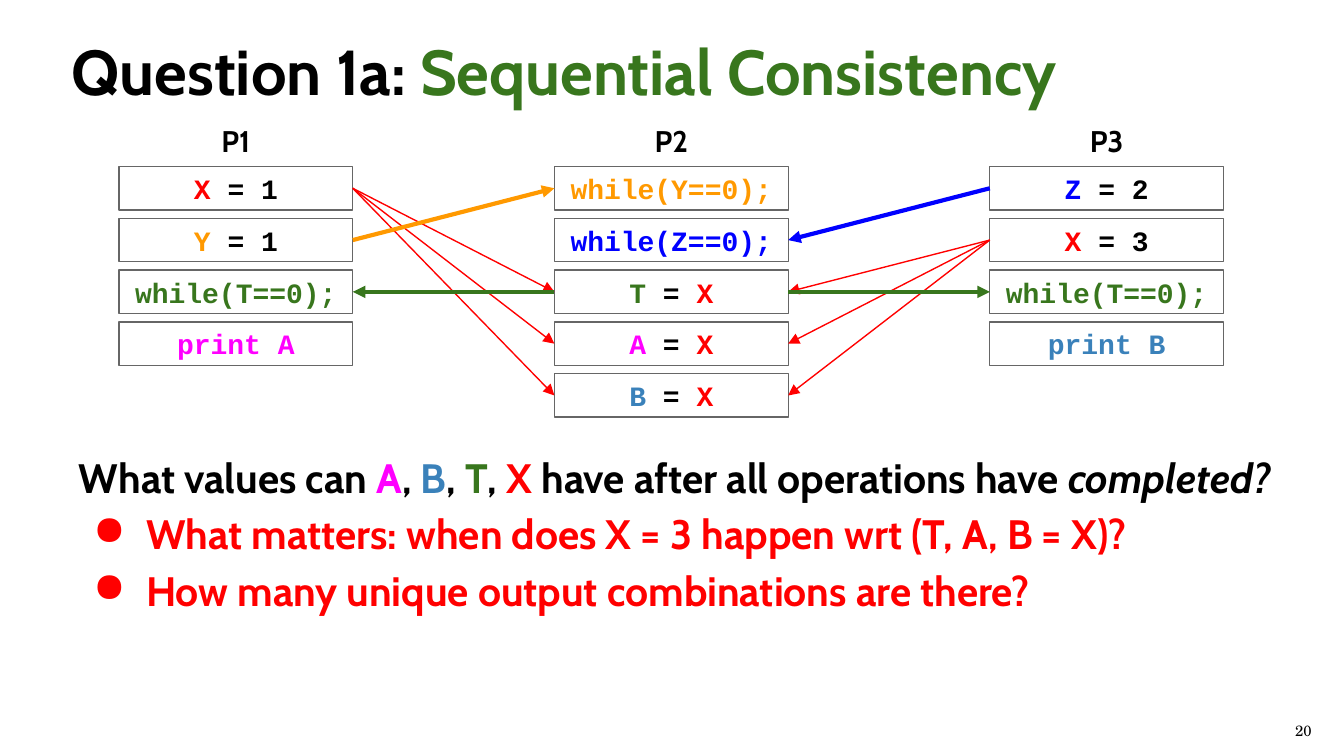
"""Build the sequential consistency question slide with its three-process diagram."""
from dataclasses import dataclass

import lxml.etree
import pptx
import pptx.dml.color
import pptx.enum.shapes
import pptx.enum.text
import pptx.oxml.ns
import pptx.shapes.autoshape
import pptx.slide
import pptx.util

RGBColor = pptx.dml.color.RGBColor
ALIGN = pptx.enum.text.PP_ALIGN
ANCHOR = pptx.enum.text.MSO_ANCHOR
qn = pptx.oxml.ns.qn

BLACK = RGBColor(0x00, 0x00, 0x00)
WHITE = RGBColor(0xFF, 0xFF, 0xFF)
GRAY = RGBColor(0x66, 0x66, 0x66)
RED = RGBColor(0xFF, 0x00, 0x00)
ORANGE = RGBColor(0xFF, 0x99, 0x00)
GREEN = RGBColor(0x38, 0x76, 0x1D)
BLUE = RGBColor(0x00, 0x00, 0xFF)
MAGENTA = RGBColor(0xFF, 0x00, 0xFF)
STEEL = RGBColor(0x3A, 0x81, 0xBA)

PX = 9525
BOX_W, BOX_H = 167, 31
FIRST_X, COLUMN_STEP = 85, 311
FIRST_Y, ROW_STEP = 119, 37
LABEL_W, LABEL_H, LABEL_Y = 79, 45, 74
LEFT_SIDE, RIGHT_SIDE = 1, 3


@dataclass(frozen=True)
class Span:
    text: str
    color: RGBColor = BLACK
    italic: bool = False


@dataclass(frozen=True)
class Line:
    spans: tuple[Span, ...]
    size: int
    font: str = "Cabin"
    bold: bool = True
    align: ALIGN = ALIGN.LEFT
    spacing: float = 1.0
    bullet: RGBColor | None = None


@dataclass(frozen=True)
class Process:
    name: str
    operations: tuple[tuple[Span, ...], ...]


@dataclass(frozen=True)
class Dependency:
    reader: tuple[int, int]
    writer: tuple[int, int]
    color: RGBColor
    weight: float


PROCESSES = (
    Process("P1", (
        (Span("X", RED), Span(" = 1")),
        (Span("Y ", ORANGE), Span("= 1")),
        (Span("while(T==0);", GREEN),),
        (Span("print A", MAGENTA),),
    )),
    Process("P2", (
        (Span("while(Y==0);", ORANGE),),
        (Span("while(Z==0);", BLUE),),
        (Span("T", GREEN), Span(" = "), Span("X", RED)),
        (Span("A", MAGENTA), Span(" = "), Span("X", RED)),
        (Span("B", STEEL), Span(" = "), Span("X", RED)),
    )),
    Process("P3", (
        (Span("Z", BLUE), Span(" = 2")),
        (Span("X", RED), Span(" = 3")),
        (Span("while(T==0);", GREEN),),
        (Span("print B", STEEL),),
    )),
)

DEPENDENCIES = (
    *(Dependency((1, row), writer, RED, 0.75)
      for writer in ((0, 0), (2, 1)) for row in (2, 3, 4)),
    Dependency((0, 2), (1, 2), GREEN, 2.25),
    Dependency((2, 2), (1, 2), GREEN, 2.25),
    Dependency((1, 1), (2, 0), BLUE, 2.25),
    Dependency((1, 0), (0, 1), ORANGE, 2.25),
)

TITLE = Line((Span("Question 1a: "), Span("Sequential Consistency", GREEN)), 34)
QUESTION = (
    Line((Span("What values can "), Span("A", MAGENTA), Span(", "), Span("B", STEEL),
          Span(", "), Span("T", GREEN), Span(", "), Span("X", RED),
          Span(" have after all operations have "), Span("completed?", italic=True)),
         22, spacing=1.15),
    *(Line((Span(text, RED),), 22, spacing=1.15, bullet=RED) for text in (
        "What matters: when does X = 3 happen wrt (T, A, B = X)?",
        "How many unique output combinations are there?",
    )),
)
PAGE_NUMBER = Line((Span("20"),), 8, "TeX Gyre Schola", bold=False, align=ALIGN.CENTER)


def add_bullet(paragraph, color: RGBColor) -> None:
    properties = paragraph._p.get_or_add_pPr()
    properties.set("marL", str(48 * PX))
    properties.set("indent", str(-38 * PX))
    bullet_color = lxml.etree.SubElement(properties, qn("a:buClr"))
    lxml.etree.SubElement(bullet_color, qn("a:srgbClr"), val=str(color))
    lxml.etree.SubElement(properties, qn("a:buChar"), char="●")


def fill_text(shape: pptx.shapes.autoshape.Shape, lines: tuple[Line, ...],
              anchor: ANCHOR) -> None:
    frame = shape.text_frame
    frame.word_wrap = True
    frame.vertical_anchor = anchor
    frame.margin_left = frame.margin_right = pptx.util.Inches(0.1)
    frame.margin_top = frame.margin_bottom = pptx.util.Inches(0.1)
    for index, line in enumerate(lines):
        paragraph = frame.add_paragraph() if index else frame.paragraphs[0]
        if line.bullet is not None:
            add_bullet(paragraph, line.bullet)
        paragraph.alignment = line.align
        paragraph.line_spacing = line.spacing
        paragraph.font.name = line.font
        paragraph.font.size = pptx.util.Pt(line.size)
        paragraph.font.bold = line.bold
        for span in line.spans:
            run = paragraph.add_run()
            run.text = span.text
            run.font.color.rgb = span.color
            if span.italic:
                run.font.italic = True


def add_text(slide: pptx.slide.Slide, left: int, top: int, width: int, height: int,
             *lines: Line, anchor: ANCHOR = ANCHOR.TOP) -> None:
    box = slide.shapes.add_textbox(left * PX, top * PX, width * PX, height * PX)
    fill_text(box, lines, anchor)


def add_operation(slide: pptx.slide.Slide, column: int, row: int,
                  spans: tuple[Span, ...]) -> pptx.shapes.autoshape.Shape:
    box = slide.shapes.add_shape(
        pptx.enum.shapes.MSO_SHAPE.RECTANGLE,
        (FIRST_X + column * COLUMN_STEP) * PX, (FIRST_Y + row * ROW_STEP) * PX,
        BOX_W * PX, BOX_H * PX)
    box.shadow.inherit = False
    box.fill.solid()
    box.fill.fore_color.rgb = WHITE
    box.line.color.rgb = GRAY
    box.line.width = pptx.util.Pt(0.75)
    fill_text(box, (Line(spans, 15, "Courier New", align=ALIGN.CENTER),), ANCHOR.MIDDLE)
    return box


def add_dependency(slide: pptx.slide.Slide, dependency: Dependency,
                   operations: dict[tuple[int, int], pptx.shapes.autoshape.Shape]) -> None:
    rightward = dependency.reader[0] < dependency.writer[0]
    reader_side, writer_side = (RIGHT_SIDE, LEFT_SIDE) if rightward else (LEFT_SIDE, RIGHT_SIDE)
    arrow = slide.shapes.add_connector(pptx.enum.shapes.MSO_CONNECTOR.STRAIGHT, 0, 0, 0, 0)
    arrow.begin_connect(operations[dependency.reader], reader_side)
    arrow.end_connect(operations[dependency.writer], writer_side)
    arrow.line.color.rgb = dependency.color
    arrow.line.width = pptx.util.Pt(dependency.weight)
    lxml.etree.SubElement(arrow.line._get_or_add_ln(), qn("a:headEnd"), type="triangle")
    lxml.etree.SubElement(arrow._element.spPr, qn("a:effectLst"))


def main() -> None:
    deck = pptx.Presentation()
    deck.slide_width, deck.slide_height = 960 * PX, 540 * PX
    slide = deck.slides.add_slide(deck.slide_layouts[6])
    add_text(slide, 42, 13, 789, 67, TITLE)
    add_text(slide, 902, 507, 58, 30, PAGE_NUMBER, anchor=ANCHOR.MIDDLE)
    operations = {}
    for column, process in enumerate(PROCESSES):
        for row, spans in enumerate(process.operations):
            operations[column, row] = add_operation(slide, column, row, spans)
        label_x = FIRST_X + column * COLUMN_STEP + (BOX_W - LABEL_W) // 2
        label = Line((Span(process.name),), 16, align=ALIGN.CENTER, spacing=1.15)
        add_text(slide, label_x, LABEL_Y, LABEL_W, LABEL_H, label)
    add_text(slide, 47, 308, 913, 142, *QUESTION)
    for dependency in DEPENDENCIES:
        add_dependency(slide, dependency, operations)
    deck.save("out.pptx")


if __name__ == "__main__":
    main()
